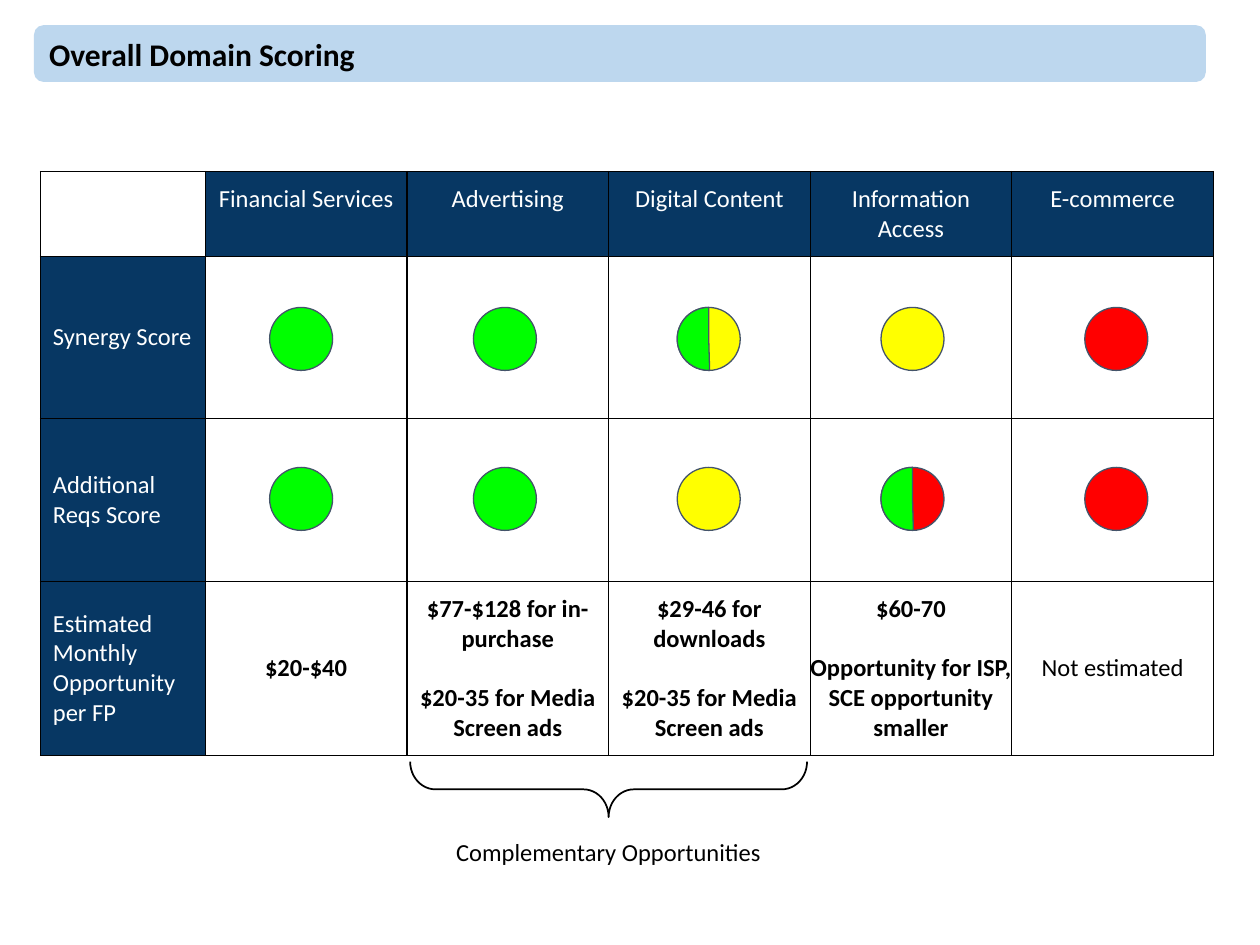
from dataclasses import dataclass
from typing import Optional

from pptx import Presentation
from pptx.dml.color import RGBColor
from pptx.enum.shapes import MSO_SHAPE as Shape
from pptx.enum.text import MSO_ANCHOR as Anchor, PP_ALIGN as Align
from pptx.oxml.ns import qn
from pptx.util import Inches, Pt
from lxml.etree import SubElement

FONT = "Calibri"
NAVY, PALE_BLUE, SLATE = "073763", "BDD7EE", "44546A"
BLACK, WHITE = "000000", "FFFFFF"
GREEN, YELLOW, RED = "00FF00", "FFFF00", "FF0000"

TABLE_LEFT, TABLE_TOP = 0.32, 1.36
LABEL_WIDTH, DOMAIN_WIDTH = 1.31, 1.6
HEADER_HEIGHT, ROW_HEIGHT = 0.46, 1.29
SCORE_LEFT, SCORE_TOP = 2.14, 2.44
SCORE_PITCH_X, SCORE_PITCH_Y = 1.6175, 1.27
SCORE_SIZE = 0.5


@dataclass
class Score:
    color: str
    left_half: Optional[str] = None


@dataclass
class Domain:
    name: str
    synergy: Score
    requirements: Score
    estimate: tuple
    bold: bool = True
    side_inset: float = 0.1


DOMAINS = [
    Domain("Financial Services", Score(GREEN), Score(GREEN), ("$20-$40",)),
    Domain("Advertising", Score(GREEN), Score(GREEN),
           ("$77-$128 for in-purchase", "$20-35 for Media Screen ads")),
    Domain("Digital Content", Score(YELLOW, GREEN), Score(YELLOW),
           ("$29-46 for downloads", "$20-35 for Media Screen ads")),
    Domain("Information Access", Score(YELLOW), Score(RED, GREEN),
           ("$60-70", "Opportunity for ISP, SCE opportunity smaller"), side_inset=0),
    Domain("E-commerce", Score(RED), Score(RED), ("Not estimated",), bold=False),
]
ROW_LABELS = ["Synergy Score", "Additional Reqs Score", "Estimated Monthly Opportunity per FP"]


def rgb(color: str) -> RGBColor:
    return RGBColor.from_string(color)


def write(frame, lines: tuple, size: float = 14, color: str = BLACK,
          bold: bool = False, align=Align.CENTER) -> None:
    frame.word_wrap = True
    for index, line in enumerate(lines):
        paragraph = frame.paragraphs[0] if index == 0 else frame.add_paragraph()
        paragraph.text = line
        paragraph.alignment = align
        if index:
            paragraph.space_before = Pt(17)
        font = paragraph.font
        font.name, font.size, font.bold = FONT, Pt(size), bold
        font.color.rgb = rgb(color)


def add_figure(shapes, preset, left: float, top: float, width: float, height: float,
               fill: Optional[str] = None, line: Optional[str] = None, weight: float = 0.75):
    figure = shapes.add_shape(preset, *map(Inches, (left, top, width, height)))
    figure.shadow.inherit = False
    if fill:
        figure.fill.solid()
        figure.fill.fore_color.rgb = rgb(fill)
    else:
        figure.fill.background()
    if line:
        figure.line.color.rgb = rgb(line)
        figure.line.width = Pt(weight)
    else:
        figure.line.fill.background()
    return figure


def style_cell(cell, fill: Optional[str] = None) -> None:
    properties = cell._tc.get_or_add_tcPr()
    for side in ("a:lnL", "a:lnR", "a:lnT", "a:lnB"):
        border = SubElement(properties, qn(side), w=str(Pt(0.75)))
        solid = SubElement(border, qn("a:solidFill"))
        SubElement(solid, qn("a:srgbClr"), val=BLACK)
    if fill:
        cell.fill.solid()
        cell.fill.fore_color.rgb = rgb(fill)
    else:
        cell.fill.background()


def fill_cell(cell, lines: tuple, color: str, bold: bool = False, align=Align.CENTER,
              anchor=Anchor.MIDDLE, side_inset: float = 0.1) -> None:
    cell.margin_left = cell.margin_right = Inches(side_inset)
    cell.margin_top = cell.margin_bottom = Inches(0.1)
    cell.vertical_anchor = anchor
    write(cell.text_frame, lines, color=color, bold=bold, align=align)


def add_scoring_table(shapes) -> None:
    widths = [LABEL_WIDTH] + [DOMAIN_WIDTH] * len(DOMAINS)
    heights = [HEADER_HEIGHT] + [ROW_HEIGHT] * len(ROW_LABELS)
    table = shapes.add_table(len(heights), len(widths), Inches(TABLE_LEFT), Inches(TABLE_TOP),
                             Inches(sum(widths)), Inches(sum(heights))).table
    table.first_row = table.horz_banding = False
    for column, width in zip(table.columns, widths):
        column.width = Inches(width)
    for row, height in zip(table.rows, heights):
        row.height = Inches(height)
    for row in range(len(heights)):
        for column in range(len(widths)):
            is_heading = (row == 0) != (column == 0)
            style_cell(table.cell(row, column), NAVY if is_heading else None)
    for row, label in enumerate(ROW_LABELS, 1):
        fill_cell(table.cell(row, 0), (label,), WHITE, align=Align.LEFT)
    for column, domain in enumerate(DOMAINS, 1):
        fill_cell(table.cell(0, column), (domain.name,), WHITE, anchor=Anchor.TOP)
        fill_cell(table.cell(len(ROW_LABELS), column), domain.estimate, BLACK,
                  bold=domain.bold, side_inset=domain.side_inset)


def add_score(shapes, score: Score, column: int, row: int) -> None:
    box = (SCORE_LEFT + column * SCORE_PITCH_X, SCORE_TOP + row * SCORE_PITCH_Y,
           SCORE_SIZE, SCORE_SIZE)
    target = shapes.add_group_shape().shapes if score.left_half else shapes
    add_figure(target, Shape.OVAL, *box, score.color, SLATE)
    if score.left_half:
        half = add_figure(target, Shape.PIE, *box, score.left_half, SLATE)
        half.adjustments[0], half.adjustments[1] = 52.974, 162


def main() -> None:
    deck = Presentation()
    deck.slide_width, deck.slide_height = Inches(10), Inches(7.5)
    shapes = deck.slides.add_slide(deck.slide_layouts[6]).shapes

    title = add_figure(shapes, Shape.ROUNDED_RECTANGLE, 0.27, 0.2, 9.3, 0.45, PALE_BLUE)
    title.text_frame.vertical_anchor = Anchor.MIDDLE
    write(title.text_frame, ("Overall Domain Scoring",), size=18, bold=True, align=Align.LEFT)

    add_scoring_table(shapes)
    for column, domain in enumerate(DOMAINS):
        for row, score in enumerate((domain.synergy, domain.requirements)):
            add_score(shapes, score, column, row)

    brace = add_figure(shapes, Shape.RIGHT_BRACE, 4.61, 4.69, 0.44, 3.15, line=BLACK, weight=1)
    brace.rotation = 90
    brace.adjustments[0], brace.adjustments[1] = 0.454, 0.5

    caption = shapes.add_textbox(*map(Inches, (3.08, 6.59, 3.5, 0.34)))
    write(caption.text_frame, ("Complementary Opportunities",))

    deck.save("out.pptx")


if __name__ == "__main__":
    main()
